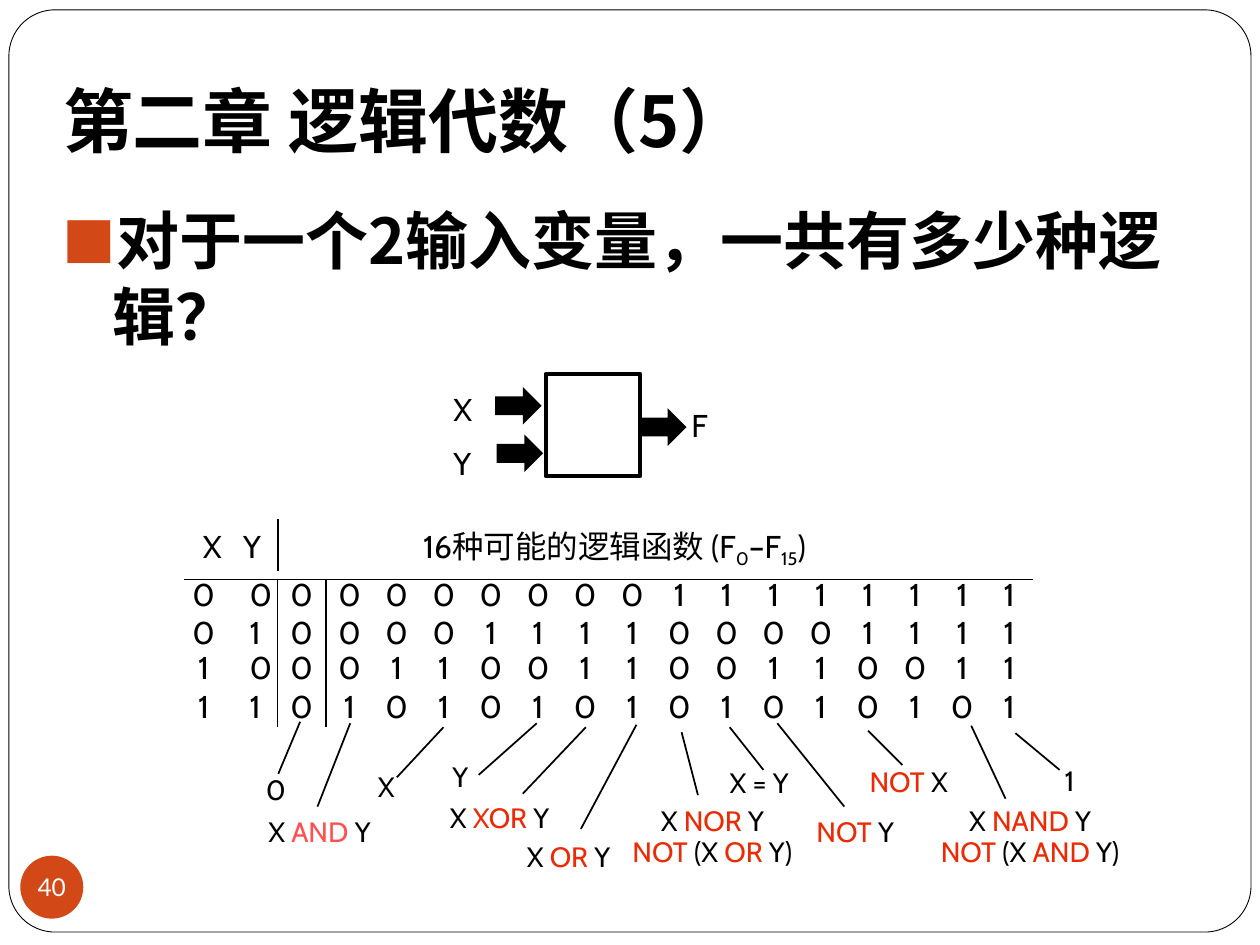
import pptx
import pptx.dml.color
import pptx.enum.shapes
import pptx.enum.text
import pptx.oxml
import pptx.oxml.ns
import pptx.util
from lxml import etree

Cm, Pt = pptx.util.Cm, pptx.util.Pt
SHAPE = pptx.enum.shapes.MSO_SHAPE
ALIGN = pptx.enum.text.PP_ALIGN
ANCHOR = pptx.enum.text.MSO_ANCHOR
AUTO_SIZE = pptx.enum.text.MSO_AUTO_SIZE
qn = pptx.oxml.ns.qn

BLACK, WHITE, ORANGE, RED, PINK = "000000", "FFFFFF", "D34817", "EB2B05", "FF5050"
OPERATORS = {"NOT", "AND", "OR", "XOR", "NOR", "NAND"}


def color(value):
    return pptx.dml.color.RGBColor.from_string(value)


def add_xml(parent, tag, **values):
    child = etree.SubElement(parent, qn(tag))
    for name, value in values.items():
        child.set(name, str(value))
    return child


class SlideBuilder:
    latin, asian = "Cabin", "Noto Sans CJK JP"

    def __init__(self, page):
        self.page = page

    def span(self, para, text, size, ink=BLACK, font=None, bold=False, baseline=0):
        run = para.add_run()
        run.text = text
        formats = {"size": Pt(size), "name": font or self.latin, "bold": bold}
        for name, value in formats.items():
            setattr(run.font, name, value)
        run.font.color.rgb = color(ink)
        properties = run.font._element
        add_xml(properties, "a:ea", typeface=self.asian)
        if baseline:
            properties.set("baseline", str(baseline * 1000))

    def frame_format(self, frame, margins=(0, 0, 0, 0), anchor=ANCHOR.TOP, wrap=True):
        formats = {"word_wrap": wrap, "auto_size": AUTO_SIZE.NONE, "vertical_anchor": anchor}
        sides = ("margin_left", "margin_top", "margin_right", "margin_bottom")
        formats.update(zip(sides, map(Cm, margins)))
        for name, value in formats.items():
            setattr(frame, name, value)

    def title(self, text, left, top, width, height):
        box = self.page.shapes.title
        place = {"left": left, "top": top, "width": width, "height": height}
        for name, value in place.items():
            setattr(box, name, Cm(value))
        self.frame_format(box.text_frame, (0.25, 0.13, 0.25, 0.25), ANCHOR.BOTTOM)
        para = box.text_frame.paragraphs[0]
        para.alignment = ALIGN.LEFT
        self.span(para, text, 40, font=self.asian, bold=True)

    def text_box(self, left, top, width, height, margins=(0, 0, 0, 0)):
        box = self.page.shapes.add_textbox(Cm(left), Cm(top), Cm(width), Cm(height))
        self.frame_format(box.text_frame, margins)
        return box.text_frame

    def bullet(self, text, *place):
        frame = self.text_box(*place, margins=(0.25, 0.13, 0.25, 0.13))
        para = frame.paragraphs[0]
        para.space_before = Pt(5.8)
        self.span(para, text, 36, font=self.asian, bold=True)
        properties = para._p.get_or_add_pPr()
        properties.set("marL", str(Cm(0.99)))
        properties.set("indent", str(-Cm(0.99)))
        add_xml(add_xml(properties, "a:buClr"), "a:srgbClr", val=ORANGE)
        add_xml(properties, "a:buSzPct", val=85000)
        add_xml(properties, "a:buFont", typeface=self.asian)
        add_xml(properties, "a:buChar", char="■")

    def label(self, left, top, *lines, width=2.6, size=16, spacing=None,
              align=ALIGN.LEFT, operator_ink=RED):
        """Add lines of text, with the logic operators in their own colour."""
        frame = self.text_box(left, top, width, 0.7 * len(lines))
        for number, line in enumerate(lines):
            para = frame.add_paragraph() if number else frame.paragraphs[0]
            para.alignment = align
            para.line_spacing = spacing
            words = line.split(" ")
            for word in words[:-1]:
                self.span(para, word + " ", size, operator_ink if word in OPERATORS else BLACK)
            self.span(para, words[-1], size)

    def shape(self, kind, left, top, width, height, fill=None, line=None, weight=1):
        box = self.page.shapes.add_shape(kind, Cm(left), Cm(top), Cm(width), Cm(height))
        box.shadow.inherit = False
        if fill:
            box.fill.solid()
            box.fill.fore_color.rgb = color(fill)
        else:
            box.fill.background()
        if line:
            box.line.color.rgb = color(line)
            box.line.width = Pt(weight)
        else:
            box.line.fill.background()
        return box

    def line(self, start, end):
        straight = pptx.enum.shapes.MSO_CONNECTOR.STRAIGHT
        connector = self.page.shapes.add_connector(straight, *map(Cm, start + end))
        connector.line.color.rgb = color(BLACK)
        connector.line.width = Pt(1)
        add_xml(connector._element.spPr, "a:effectLst")

    def border(self, cell, sides):
        properties = cell._tc.get_or_add_tcPr()
        for position, side in enumerate("LRTB"):
            edge = etree.Element(qn("a:ln" + side))
            if side in sides:
                edge.set("w", str(Pt(1)))
                add_xml(add_xml(edge, "a:solidFill"), "a:srgbClr", val=BLACK)
            else:
                add_xml(edge, "a:noFill")
            properties.insert(position, edge)

    def truth_table(self, rows, left, top, widths, heights):
        holder = self.page.shapes.add_table(len(rows), len(widths), Cm(left), Cm(top),
                                            Cm(sum(widths)), Cm(sum(heights)))
        table = holder.table
        table.first_row = table.horz_banding = False
        for column, width in zip(table.columns, widths):
            column.width = Cm(width)
        for r, (values, height) in enumerate(zip(rows, heights)):
            table.rows[r].height = Cm(height)
            for c, value in enumerate(values):
                cell = table.cell(r, c)
                cell.margin_left = Cm(0.53 if c == 1 else 0)
                cell.margin_right = cell.margin_top = cell.margin_bottom = 0
                cell.fill.background()
                para = cell.text_frame.paragraphs[0]
                para.alignment = ALIGN.LEFT if c == 1 else ALIGN.CENTER
                if r < len(rows) - 1:
                    para.line_spacing = Pt(20.1)
                self.span(para, str(value), 18)
                sides = {1: "R", 2: "LR", 3: "L"}.get(c, "")
                self.border(cell, sides + ("T" if r == 0 else ""))


def main():
    deck = pptx.Presentation()
    deck.slide_width, deck.slide_height = Cm(25.4), Cm(19.05)
    page = deck.slides.add_slide(deck.slide_layouts[5])
    slide = SlideBuilder(page)

    frame = slide.shape(SHAPE.ROUNDED_RECTANGLE, 0.18, 0.2, 25.04, 18.59, line=BLACK, weight=0.5)
    frame.adjustments[0] = 0.05
    slide.title("第二章 逻辑代数（5）", 1.02, 0.76, 21.59, 2.74)
    slide.bullet("对于一个2输入变量，一共有多少种逻辑？", 1.02, 3.94, 23.5, 12.8)

    badge = slide.shape(SHAPE.OVAL, 0.41, 17.25, 1.27, 1.27, fill=ORANGE)
    slide.frame_format(badge.text_frame, anchor=ANCHOR.MIDDLE, wrap=False)
    number = badge.text_frame.paragraphs[0]
    number.alignment = ALIGN.CENTER
    slide.span(number, "40", 14, WHITE, font="Lato")

    # Logic block with two inputs and one output
    slide.shape(SHAPE.RECTANGLE, 11, 7.54, 1.91, 2.06, line=BLACK, weight=2.25)
    for left, top in ((9.98, 7.8), (10.01, 8.76), (12.9, 8.23)):
        slide.shape(SHAPE.RIGHT_ARROW, left, top, 0.94, 0.76, fill=BLACK)
    slide.label(9.14, 7.52, "X", "Y", width=0.79, size=18, spacing=1.44)
    slide.label(13.94, 8.18, "F", width=0.6, size=18)

    # Truth table of all functions of X and Y
    for left, name in ((4.09, "X"), (4.9, "Y")):
        slide.label(left, 10.62, name, width=0.6, size=18)
    slide.line((5.61, 10.46), (5.61, 11.51))
    heading = slide.text_box(8.53, 10.62, 9.37, 0.76).paragraphs[0]
    for text, baseline in (("16种可能的逻辑函数 (F", 0), ("0", -23), ("–F", 0), ("15", -23), (")", 0)):
        slide.span(heading, text, 18, baseline=baseline)
    rows = [[r >> 1, r & 1] + [f >> (3 - r) & 1 for f in range(16)] for r in range(4)]
    slide.truth_table(rows, 3.71, 11.68, [0.79, 1.09, 0.98] + [0.95] * 15,
                      [0.76, 0.71, 0.71, 0.79])

    # Names of the functions, each led to its column
    leaders = (
        ((6.05, 14.55), (5.61, 15.6)), ((7.06, 14.58), (6.4, 16.26)),
        ((8.94, 14.66), (8, 15.67)), ((10.82, 14.58), (9.65, 15.62)),
        ((11.81, 14.66), (10.54, 16)), ((12.83, 14.61), (11.71, 16.71)),
        ((13.74, 14.76), (14.07, 16.03)), ((14.71, 14.66), (15.39, 15.52)),
        ((15.67, 14.58), (17.02, 16.26)), ((17.5, 14.73), (18.19, 15.42)),
        ((19.58, 14.63), (20.27, 16.1)), ((20.47, 14.78), (21.36, 15.52)),
    )
    for start, end in leaders:
        slide.line(start, end)
    labels = (
        (5.36, 15.57, "0"), (7.62, 15.52, "X"), (9.12, 15.32, "Y"), (9.07, 16.13, "X XOR Y"),
        (10.62, 16.93, "X OR Y"), (14.71, 15.44, "X = Y"), (16.46, 16.43, "NOT Y"),
        (17.53, 15.42, "NOT X"), (21.46, 15.39, "1"),
    )
    for left, top, name in labels:
        slide.label(left, top, name)
    slide.label(5.41, 16.43, "X AND Y", operator_ink=PINK)
    for left, width, name, meaning in ((12.29, 4.14, "X NOR Y", "NOT (X OR Y)"),
                                       (18.82, 3.89, "X NAND Y", "NOT (X AND Y)")):
        slide.label(left, 16.26, name, meaning, width=width, spacing=Pt(17.6), align=ALIGN.CENTER)

    deck.save("out.pptx")


if __name__ == "__main__":
    main()
